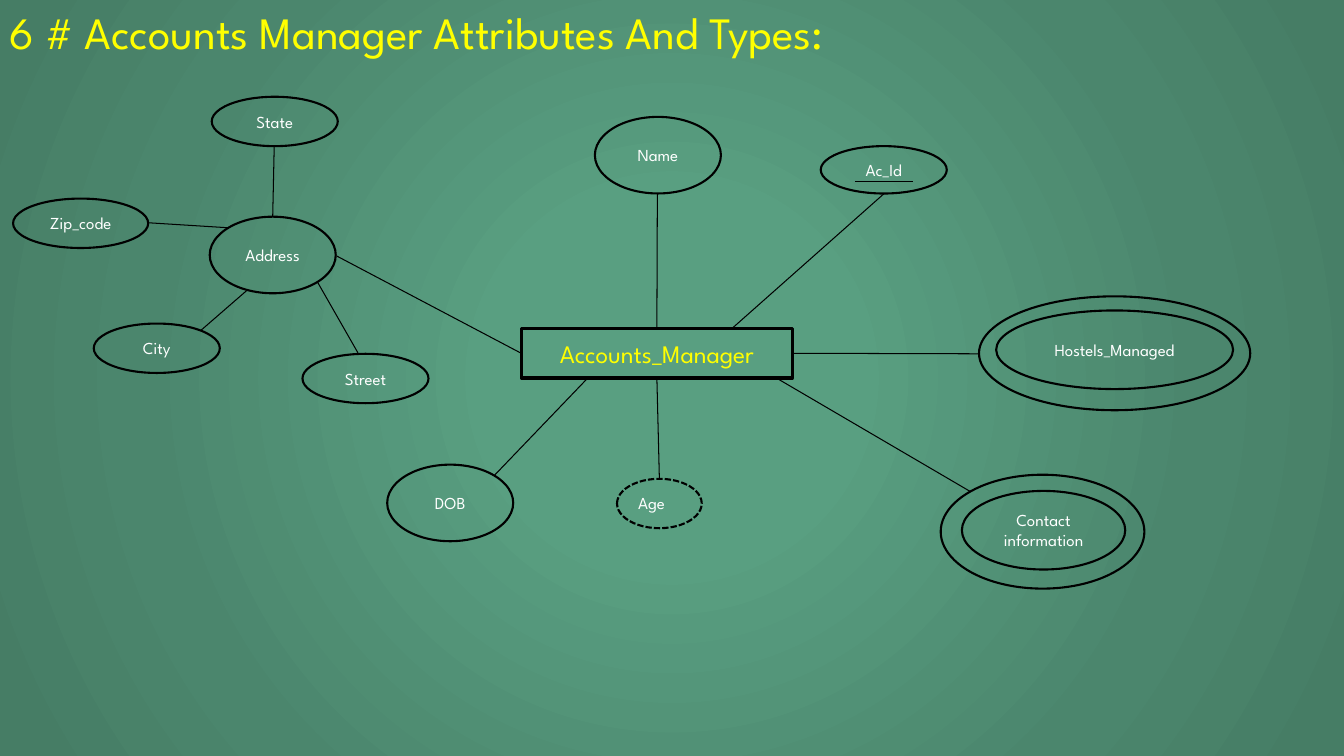
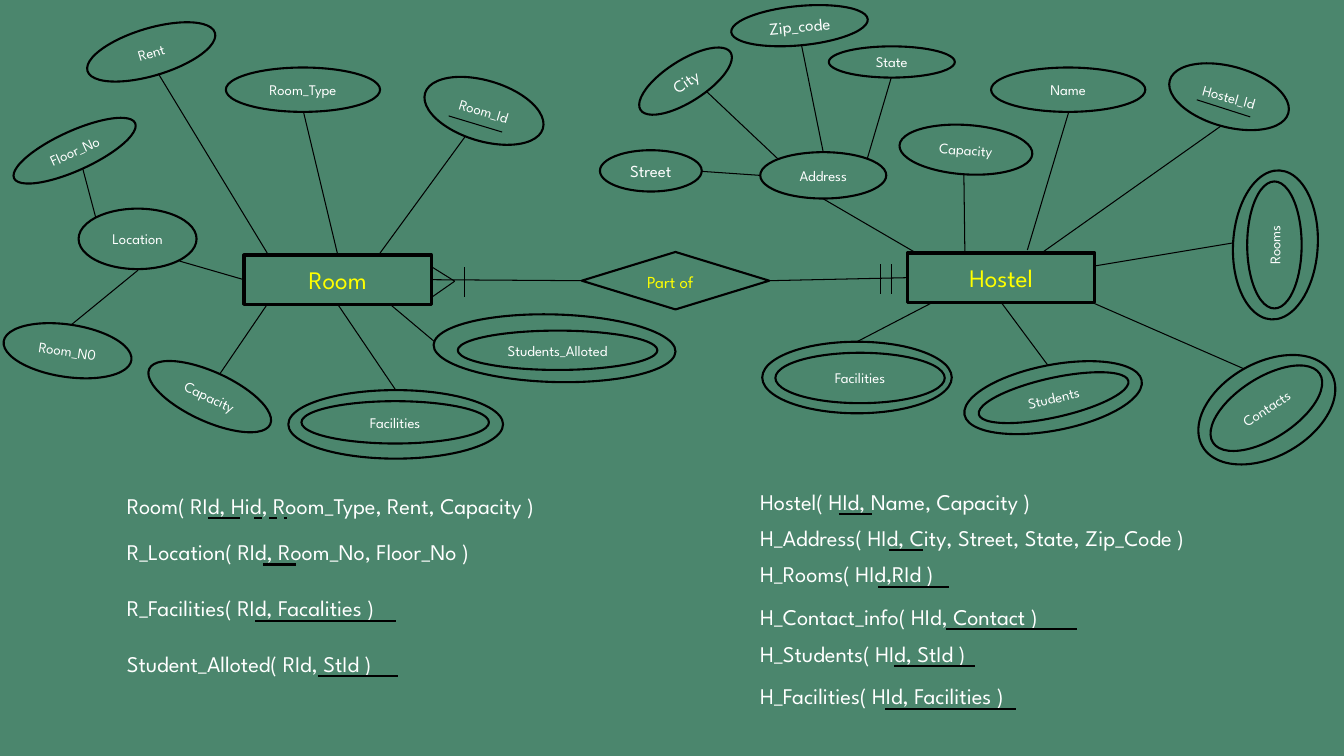
from dataclasses import dataclass
from pptx import Presentation
from pptx.dml.color import RGBColor
from pptx.enum.dml import MSO_LINE
from pptx.enum.shapes import MSO_CONNECTOR, MSO_SHAPE
from pptx.enum.text import MSO_ANCHOR, MSO_AUTO_SIZE, PP_ALIGN
from pptx.oxml import parse_xml
from pptx.oxml.ns import nsdecls, qn
from pptx.oxml.xmlchemy import OxmlElement
from pptx.util import Inches, Pt

TOP, LEFT, BOTTOM, RIGHT = range(4)


@dataclass(frozen=True)
class Theme:
    """Colours, type sizes and line widths shared by the slides."""
    font: str = "League Spartan"
    ink: str = "000000"
    text: str = "FFFFFF"
    accent: str = "FFFF00"
    ground: str = "4B866D"
    glow: tuple = ((0, "599F81"), (23, "599F81"), (69, "4B866D"), (97, "467D65"))
    title: float = 32
    entity: float = 18
    schema: float = 16
    label: float = 12
    small: float = 10.5
    thin: float = 0.75
    outline: float = 1.5
    heavy: float = 2.25


THEME = Theme()


def grid(cells):
    """Turn grid cells, ten to the inch, into a length."""
    return Inches(cells / 10)


def write(shape, words, size, color):
    """Put one styled paragraph into a shape."""
    para = shape.text_frame.paragraphs[0]
    para.text = words
    for span in para.runs:
        span.font.name = THEME.font
        span.font.size = Pt(size)
        span.font.color.rgb = RGBColor.from_string(color)
    return para


def stroke(line, width, dash=None):
    """Give an outline the shared ink colour."""
    line.color.rgb = RGBColor.from_string(THEME.ink)
    line.width = Pt(width)
    if dash:
        line.dash_style = dash


@dataclass
class Area:
    """A box on a page whose parts are placed from its top left corner."""
    page: object
    left: float = 0
    top: float = 0

    def spot(self, column, row):
        """Return the position of a grid point on the page."""
        return grid(self.left + column), grid(self.top + row)

    def outline(self, kind, place, width, words="", size=0, color="", dash=None):
        """Draw an unfilled shape with a centred label."""
        column, row, wide, high, *turn = place
        shape = self.page.shapes.add_shape(kind, *self.spot(column, row), grid(wide), grid(high))
        shape.rotation = turn[0] if turn else 0
        shape.shadow.inherit = False
        shape.fill.background()
        stroke(shape.line, width, dash)
        if words:
            shape.text_frame.vertical_anchor = MSO_ANCHOR.MIDDLE
            write(shape, words, size, color).alignment = PP_ALIGN.CENTER
        return shape

    def entity(self, words, *place):
        """Draw an entity rectangle."""
        return self.outline(MSO_SHAPE.RECTANGLE, place, THEME.heavy, words,
                            THEME.entity, THEME.accent)

    def attribute(self, words, size, *place):
        """Draw an attribute ellipse."""
        return self.outline(MSO_SHAPE.OVAL, place, THEME.outline, words, size, THEME.text)

    def ring(self, *place, dash=None):
        """Draw an ellipse without a label."""
        return self.outline(MSO_SHAPE.OVAL, place, THEME.outline, dash=dash)

    def caption(self, words, size, color, place, wrap=True):
        """Write a text box that grows with its text."""
        column, row, wide, high = place
        box = self.page.shapes.add_textbox(*self.spot(column, row), grid(wide), grid(high))
        box.text_frame.word_wrap = wrap
        box.text_frame.auto_size = MSO_AUTO_SIZE.SHAPE_TO_FIT_TEXT
        write(box, words, size, color)

    def line(self, start, end, width=THEME.thin, dash=None):
        """Draw a straight line between two grid points."""
        line = self.page.shapes.add_connector(
            MSO_CONNECTOR.STRAIGHT, *self.spot(*start), *self.spot(*end))
        stroke(line.line, width, dash)
        line._element.spPr.append(OxmlElement("a:effectLst"))
        return line

    def lines(self, *pairs):
        """Draw several thin lines."""
        for start, end in pairs:
            self.line(start, end)

    def join(self, shape, side, point):
        """Draw a line from the middle of a shape's side to a grid point."""
        line = self.line(point, point)
        line.begin_connect(shape, side)
        return line


def paint_glow(page):
    """Fill the page with a gradient that spreads from its centre."""
    page.background.fill.gradient()
    plain = page.element.find(".//" + qn("a:gradFill"))
    stops = "".join(f'<a:gs pos="{share * 1000}"><a:srgbClr val="{color}"/></a:gs>'
                    for share, color in THEME.glow)
    plain.getparent().replace(plain, parse_xml(
        f'<a:gradFill {nsdecls("a")} rotWithShape="1"><a:gsLst>{stops}</a:gsLst>'
        '<a:path path="circle"><a:fillToRect l="50000" t="50000" r="50000" b="50000"/>'
        '</a:path></a:gradFill>'))


def manager_diagram(area):
    """Draw the accounts manager with its attributes."""
    manager = area.entity("Accounts_Manager", 18.7, 21.6, 26.9, 4.9)
    for words, *place in (
            ("Contact information", 62.4, 37.7, 16.2, 7.8),
            ("Name", 26, 0.6, 12.5, 7.6),
            ("DOB", 5.4, 35.1, 12.5, 7.6),
            ("Hostels_Managed", 65.8, 19.8, 23.5, 7.8),
            ("Ac_Id", 48.4, 3.5, 12.5, 4.7)):
        area.attribute(words, THEME.label, *place)
    area.ring(60.3, 36.1, 20.2, 11.3)
    area.ring(64.1, 18.4, 26.9, 11.3)
    age = area.ring(28.2, 36.5, 8.4, 4.9, dash=MSO_LINE.SQUARE_DOT)
    area.caption("Age", THEME.label, THEME.text, (29.3, 37.4, 5.5, 3), wrap=False)
    area.lines(((51.8, 7), (57.6, 7)),
               ((54.7, 8.2), (39.7, 21.5)),
               ((63.3, 37.8), (44, 26.5)),
               ((16, 36.2), (25.3, 26.5)))
    area.join(manager, LEFT, (0.4, 14.4))
    area.join(manager, TOP, (32.2, 8.2))
    area.join(manager, RIGHT, (64.1, 24.1))
    area.join(manager, BOTTOM, (32.4, 36.5)).end_connect(age, TOP)


def manager_address(area):
    """Draw the address of the manager with its parts."""
    address = area.attribute("Address", THEME.label, 20.8, 12.5, 12.5, 7.6)
    for words, column, row, wide in (("Zip_code", 1.3, 10.7, 13.4), ("Street", 30, 26.1, 12.5),
                                     ("State", 21, 0.6, 12.5), ("City", 9.3, 23.1, 12.5)):
        area.attribute(words, THEME.label, column, row, wide, 4.9)
    area.join(address, TOP, (27.2, 5.5))
    area.lines(((22.7, 13.6), (14.7, 13.1)),
               ((35.5, 26), (31.5, 19)),
               ((19.9, 23.8), (24.5, 19.8)))


def room_diagram(area):
    """Draw the room with its attributes and return the entity."""
    room = area.entity("Room", 24.2, 25.3, 18.6, 4.9)
    for words, *place in (
            ("Room_Id", 41.9, 8, 12.2, 6, 16.8),
            ("Room_Type", 22.4, 6.7, 15.3, 4.4),
            ("Students_Alloted", 45.4, 32.8, 19.8, 3.9),
            ("Facilities", 29.9, 39.8, 18.6, 4.2),
            ("Capacity", 14.2, 36.9, 13.2, 4.9, 24.6),
            ("Location", 7.8, 20.7, 11.7, 6),
            ("Room_N0", 0.3, 32.2, 12.8, 5.2, 8.4),
            ("Floor_No", 0.8, 13, 13.2, 3.9, 335.5),
            ("Rent", 8.4, 2.8, 13.2, 4.7, 343.3)):
        area.attribute(words, THEME.small, *place)
    area.ring(43, 31.2, 24, 6.7, 1.6)
    facilities = area.ring(28.6, 38.7, 21.3, 6.8)
    area.join(room, TOP, (30.1, 11.1))
    area.join(room, LEFT, (17.8, 25.9))
    area.join(room, BOTTOM, (39.2, 38.7)).end_connect(facilities, TOP)
    area.lines(((46.1, 13.6), (37.7, 25.1)),
               ((43.1, 33.9), (38.7, 30.2)),
               ((21.8, 37.1), (26.5, 30.2)),
               ((13.7, 26.8), (7.1, 32.2)),
               ((8.2, 16.7), (9.5, 21.6)),
               ((44.5, 11.5), (49.8, 13.1)),
               ((15.7, 7.3), (26.5, 25.1)))
    return room


def hostel_diagram(area):
    """Draw the hostel with its attributes and return the entity."""
    hostel = area.entity("Hostel", 31, 25.1, 18.6, 4.9)
    for words, *place in (
            ("Hostel_Id", 56.8, 6.6, 12.2, 6, 15.4),
            ("Name", 39.3, 6.7, 15.3, 4.4),
            ("Students", 37.9, 37.5, 15.2, 3.9, 347.4),
            ("Facilities", 17.9, 35, 16.8, 5),
            ("Capacity", 30.2, 12.4, 13.2, 4.9, 3.8),
            ("State", 23.2, 4.6, 12.5, 3.1),
            ("Rooms", 61.1, 21.6, 12.6, 5.4, 270),
            ("Contacts", 60.3, 37.5, 12.6, 6, 327.2)):
        area.attribute(words, THEME.small, *place)
    for words, *place in (("Zip_code", 13.5, 0.6, 13.6, 3.9, 354.6),
                          ("Street", 0.5, 14.9, 10.1, 4.1),
                          ("City", 3.7, 6, 10.6, 4.1, 327.4)):
        area.attribute(words, THEME.label, *place)
    address = area.attribute("Address", THEME.small, 16.4, 15.1, 12.5, 4.6)
    facilities = area.ring(16.6, 33.9, 18.8, 7.1)
    for place in ((36.5, 36.2, 17.9, 6.5, 349),
                  (60.1, 20.1, 14.8, 8.4, 273.2),
                  (59.3, 36, 14.7, 9.3, 330.4)):
        area.ring(*place)
    area.join(hostel, BOTTOM, (44.9, 36.2))
    area.join(facilities, TOP, (33.5, 30))
    area.join(address, TOP, (20.5, 4.5))
    area.lines(((59.7, 9.9), (65, 11.6)),
               ((62.1, 12.5), (44.3, 25.1)),
               ((47, 11.1), (42.9, 24.8)),
               ((36.7, 25), (36.6, 17.3)),
               ((22.6, 19.7), (31.7, 25)),
               ((10.6, 17), (16.4, 17.4)),
               ((29.4, 7.7), (27, 15.8)),
               ((11.1, 9.1), (18.2, 15.8)),
               ((63.3, 24.1), (49.5, 26.4)),
               ((64.4, 36.6), (49.3, 30)))
    return hostel


def relation(area, many, one):
    """Draw the relation between two entities with its cardinality marks."""
    diamond = area.outline(MSO_SHAPE.FLOWCHART_DECISION, (15.7, 1, 18.6, 5.7), THEME.outline)
    area.caption("Part of", THEME.label, THEME.accent, (21.2, 2.5, 7.4, 3), wrap=False)
    for side, entity, entity_side in ((LEFT, many, RIGHT), (RIGHT, one, LEFT)):
        area.join(diamond, side, (25, 3.8)).end_connect(entity, entity_side)
    area.lines(((3.1, 3.9), (0.7, 2.4)), ((3.1, 3.9), (0.8, 5.5)))
    for column, row in ((4.1, 2.5), (45.3, 2.2), (46.4, 2.2)):
        area.line((column, row), (column, row + 3))


def schema(area, tables):
    """List table schemas, each with its key underlined."""
    for words, row, *keys in tables:
        area.caption(words, THEME.schema, THEME.text, (0, row, 53.3, 3.7))
        for start, end, *dash in keys:
            area.line((start, row + 3.1), (end, row + 3.1), THEME.outline, *dash)


def manager_slide(page):
    """Build the slide about the accounts manager."""
    paint_glow(page)
    Area(page).caption("6 # Accounts Manager Attributes And Types:", THEME.title,
                       THEME.accent, (0, 0, 100.4, 6.4))
    manager_diagram(Area(page, 33, 11))
    manager_address(Area(page, 0, 9))


def hostel_slide(page):
    """Build the slide that relates rooms to hostels."""
    page.background.fill.solid()
    page.background.fill.fore_color.rgb = RGBColor.from_string(THEME.ground)
    room = room_diagram(Area(page))
    hostel = hostel_diagram(Area(page, 59, 0))
    relation(Area(page, 42, 24), room, hostel)
    schema(Area(page, 11.6, 48.2), (
        ("Room( RId, Hid, Room_Type, Rent, Capacity )", 0.1,
         (9, 12.2), (13.6, 16.9, MSO_LINE.DASH)),
        ("R_Location( RId, Room_No, Floor_No )", 4.7, (14.5, 17.8)),
        ("R_Facilities( RId, Facalities )", 10.3, (13.7, 27.7)),
        ("Student_Alloted( RId, StId )", 15.8, (19.9, 27.9))))
    schema(Area(page, 74.4, 47.9), (
        ("Hostel( HId, Name, Capacity )", 0, (8.8, 12.1)),
        ("H_Address( HId, City, Street, State, Zip_Code )", 3.6, (13.8, 17.1)),
        ("H_Rooms( HId,RId )", 7.2, (12.7, 19.7)),
        ("H_Contact_info( HId, Contact )", 11.4, (19.4, 32.4)),
        ("H_Students( HId, StId )", 15.1, (14.3, 22.3)),
        ("H_Facilities( HId, Facilities )", 19.3, (13.4, 26.4))))


def main():
    """Build and save the deck."""
    deck = Presentation()
    deck.slide_width, deck.slide_height = Inches(13.33), Inches(7.5)
    for build in (manager_slide, hostel_slide):
        build(deck.slides.add_slide(deck.slide_layouts[6]))
    deck.save("out.pptx")


if __name__ == "__main__":
    main()
